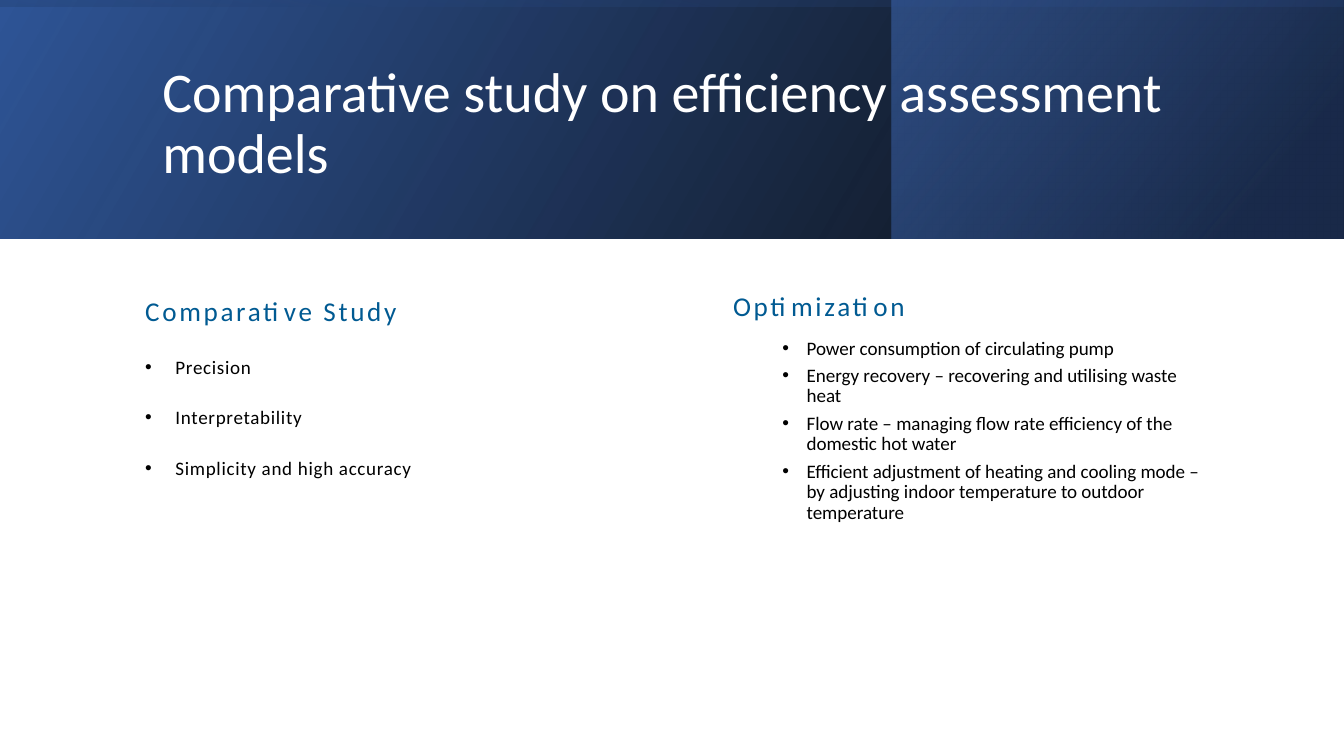
from lxml import etree
from pptx import Presentation
from pptx.dml.color import RGBColor
from pptx.enum.shapes import MSO_SHAPE
from pptx.enum.text import MSO_ANCHOR, MSO_AUTO_SIZE, PP_ALIGN
from pptx.oxml import parse_xml
from pptx.oxml.ns import nsdecls, qn
from pptx.util import Inches, Pt

WHITE = RGBColor(0xFF, 0xFF, 0xFF)
BLACK = RGBColor(0x00, 0x00, 0x00)
HEADING_BLUE = RGBColor(0x00, 0x5A, 0x92)
BAND_BLUE = RGBColor(0x2F, 0x55, 0x97)
NAVY = RGBColor(0x20, 0x38, 0x64)
BRIGHT_BLUE = RGBColor(0x44, 0x72, 0xC4)
FONT = "Calibri"
HEADING_HEIGHT = 0.45
LIST_HEIGHT = 3.53


def place(shape, box):
    shape.left, shape.top, shape.width, shape.height = map(Inches, box)


def add_gradient_panel(slide, box, stops, angle, rotation=0):
    """Add a mirrored rectangle; stops are (position %, colour, opacity %)."""
    panel = slide.shapes.add_shape(MSO_SHAPE.RECTANGLE, *map(Inches, box))
    panel.shadow.inherit = False
    panel.line.fill.background()
    panel.rotation = rotation
    properties = panel.element.spPr
    properties.find(qn("a:xfrm")).set("flipH", "1")
    stop_xml = "".join(
        f'<a:gs pos="{position * 1000}"><a:srgbClr val="{colour}">'
        f'<a:alpha val="{opacity * 1000}"/></a:srgbClr></a:gs>'
        for position, colour, opacity in stops)
    gradient = parse_xml(
        f'<a:gradFill rotWithShape="1" {nsdecls("a")}><a:gsLst>{stop_xml}</a:gsLst>'
        f'<a:lin ang="{angle * 60000}" scaled="0"/></a:gradFill>')
    properties.find(qn("a:prstGeom")).addnext(gradient)


def fill_text(shape, box, lines, size, colour, anchor=MSO_ANCHOR.TOP, line_spacing=0.9,
              before=0, after=0, tracking=0, bullet_indent=None, level=0):
    """Fill a placeholder; bullet_indent is (left margin, hanging indent)."""
    place(shape, box)
    frame = shape.text_frame
    frame.text = "\n".join(lines)
    frame.word_wrap = True
    frame.auto_size = MSO_AUTO_SIZE.NONE
    frame.vertical_anchor = anchor
    for number, para in enumerate(frame.paragraphs):
        para.level = level
        para.alignment = PP_ALIGN.LEFT
        para.line_spacing = line_spacing
        para.space_before = Pt(before if number else 0)
        para.space_after = Pt(after)
        properties = para._p.get_or_add_pPr()
        if bullet_indent:
            margin, hanging = bullet_indent
            properties.set("marL", str(Inches(margin)))
            properties.set("indent", str(-Inches(hanging)))
            etree.SubElement(properties, qn("a:buFont"), typeface="Arial")
            etree.SubElement(properties, qn("a:buChar"), char="•")
        font = para.font
        font.name, font.size, font.bold = FONT, Pt(size), False
        font.color.rgb = colour
        if tracking:
            properties.find(qn("a:defRPr")).set("spc", str(int(tracking * 100)))


def add_header(slide, box):
    left, top, width, height = box
    # Layered gradient band
    add_gradient_panel(slide, box, [(0, BLACK, 96), (100, BAND_BLUE, 100)], 330)
    add_gradient_panel(slide, (left + 8.84, top, 4.48, height),
                       [(19, NAVY, 68), (100, BRIGHT_BLUE, 48)], 320)
    turned = (left + (width - height) / 2, top + (height - width) / 2, height, width)
    add_gradient_panel(slide, turned, [(23, BAND_BLUE, 16), (99, BLACK, 45)], 350, 270)
    # Title, brought in front of the band
    title = slide.shapes.title
    fill_text(title, (left + 1.51, top + 0.38, 10.63, 1.72),
              ["Comparative study on efficiency assessment models"],
              40, WHITE, MSO_ANCHOR.MIDDLE)
    slide.shapes.element.append(title.element)


def add_column(heading, body, box, heading_width, title, items, **list_format):
    left, top, width = box
    fill_text(heading, (left, top, heading_width, HEADING_HEIGHT), [title],
              19.4, HEADING_BLUE, tracking=1.9)
    fill_text(body, (left, top + HEADING_HEIGHT, width, LIST_HEIGHT), items,
              13.6, BLACK, **list_format)


def build_comparison(deck):
    slide = deck.slides.add_slide(deck.slide_layouts[4])
    add_header(slide, (0, 0, 13.33, 2.37))
    holders = slide.placeholders
    # Left column
    add_column(holders[1], holders[2], (1.34, 2.91, 4.05), 4.05, "Comparative Study",
               ["Precision", "Interpretability", "Simplicity and high accuracy"],
               line_spacing=1.5, after=11.6, tracking=0.5, bullet_indent=(0.3, 0.3))
    # Right column
    add_column(holders[3], holders[4], (7.17, 2.86, 4.85), 4.05, "Optimization",
               ["Power consumption of circulating pump",
                "Energy recovery – recovering and utilising waste heat",
                "Flow rate – managing flow rate efficiency of the domestic hot water",
                "Efficient adjustment of heating and cooling mode – "
                "by adjusting indoor temperature to outdoor temperature"],
               before=4.8, bullet_indent=(0.73, 0.24), level=1)


def main():
    deck = Presentation()
    deck.slide_width, deck.slide_height = Inches(13.33), Inches(7.5)
    build_comparison(deck)
    deck.save("out.pptx")


if __name__ == "__main__":
    main()
